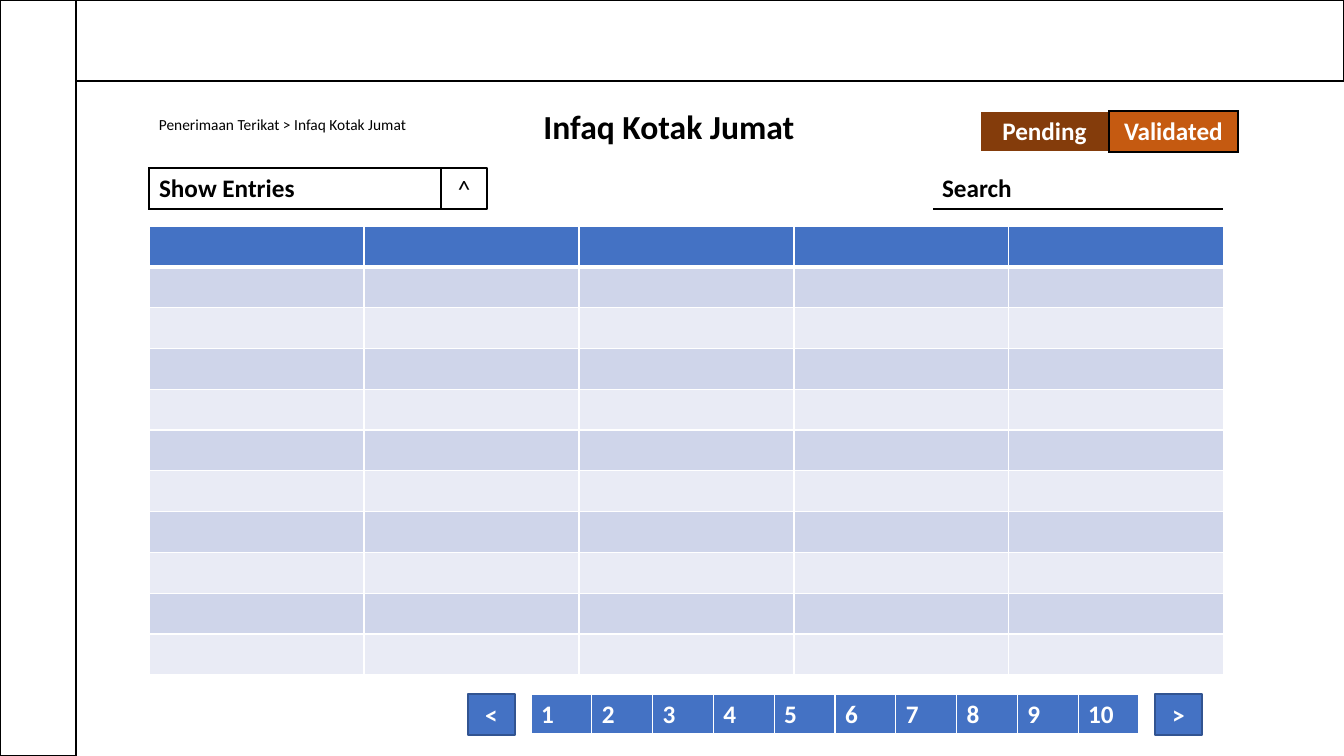
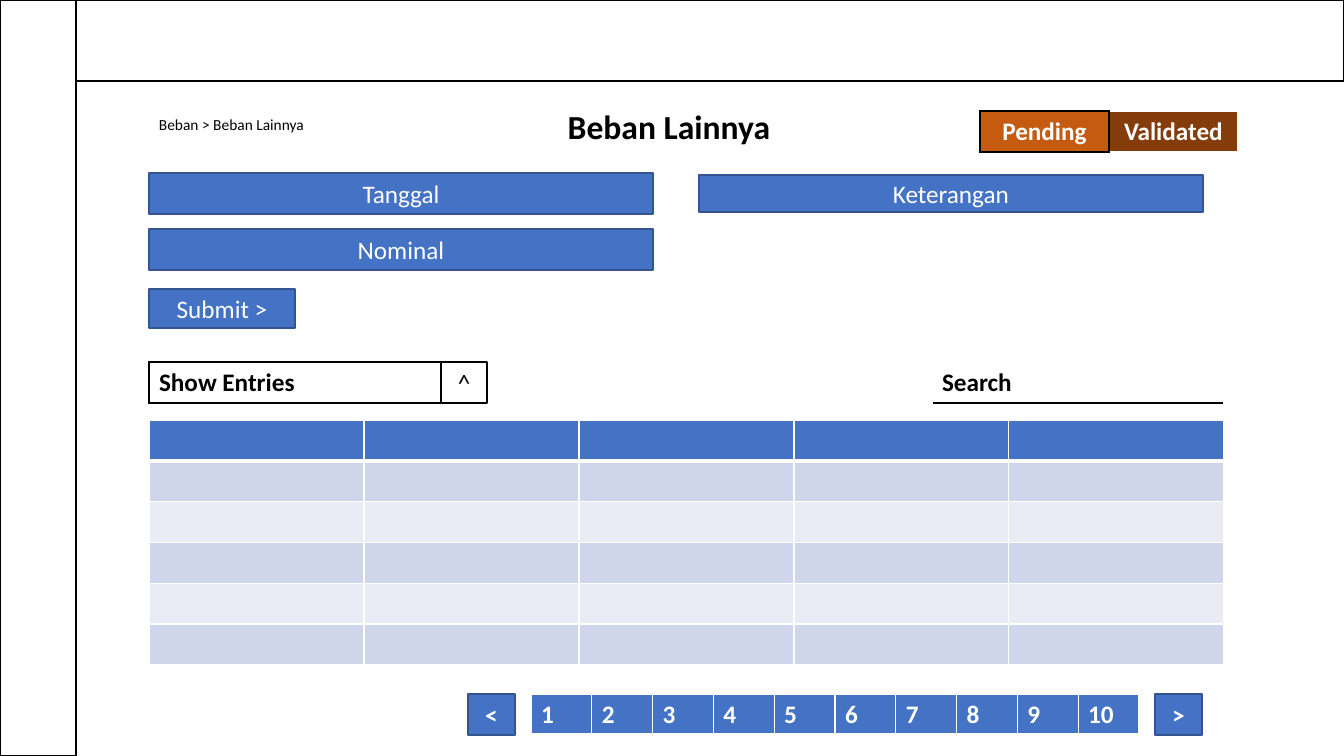
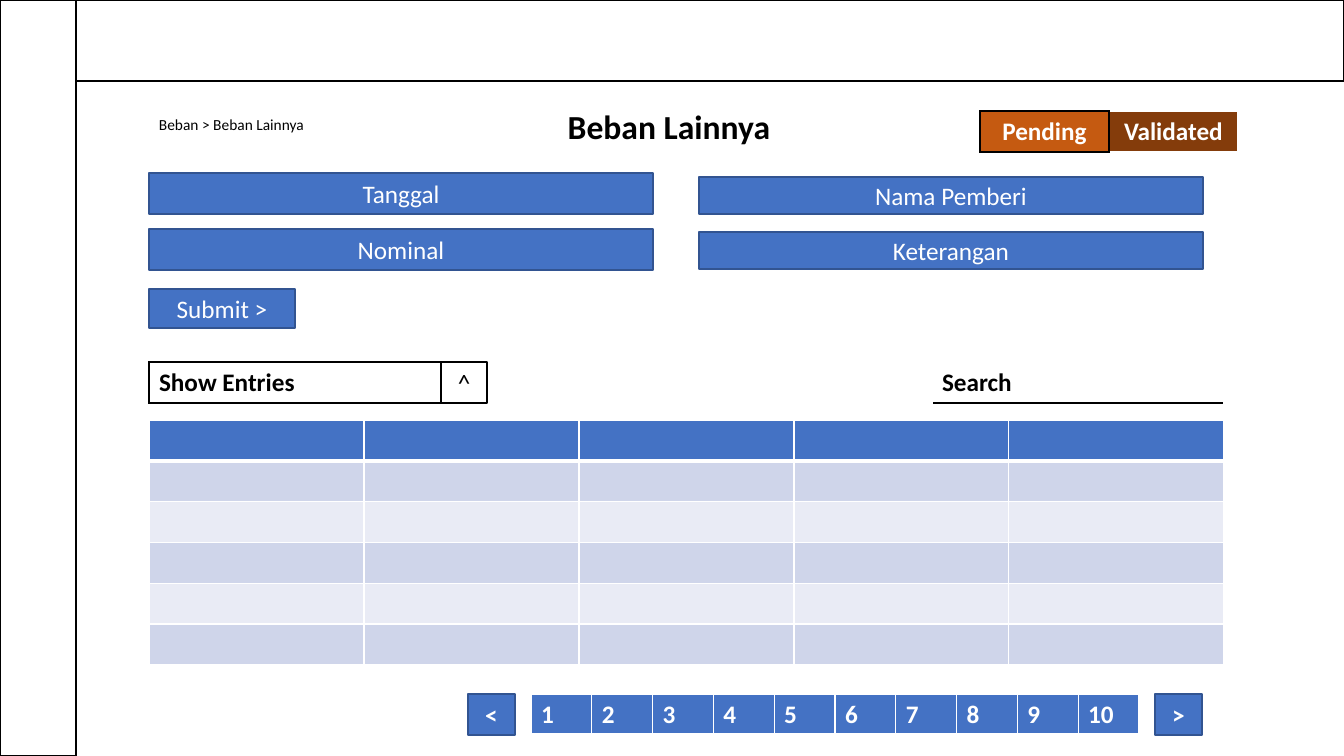
from lxml import etree
from pptx import Presentation
from pptx import util as u
from pptx.dml.color import RGBColor
from pptx.enum import shapes, text
from pptx.oxml.ns import qn

PX = 914400 / 100.8
FONT = "Calibri"
WHITE = RGBColor(0xFF, 0xFF, 0xFF)
BLACK = RGBColor(0, 0, 0)
BLUE = RGBColor(0x44, 0x72, 0xC4)
NAVY = RGBColor(0x32, 0x54, 0x91)
BAND = RGBColor(0xCF, 0xD5, 0xEA)
PALE = RGBColor(0xE9, 0xEB, 0xF5)
RUST = RGBColor(0xC5, 0x5A, 0x11)
BROWN = RGBColor(0x84, 0x3C, 0x0B)

LEFT, RIGHT = 149, 699
ROW = 41
CENTER = text.PP_ALIGN.CENTER
START = text.PP_ALIGN.LEFT
HEAD = dict(L=(WHITE, 1), R=(WHITE, 1), T=(WHITE, 1), B=(WHITE, 3))
GRID = dict.fromkeys("LRTB", (WHITE, 1))
BOX = dict.fromkeys("LRTB", (BLACK, 1))
RULE = dict(B=(BLACK, 1))


def emu(*sizes):
    """Turn pixels into EMU."""
    return [u.Emu(round(size * PX)) for size in sizes]


class Page:
    """Draws the parts of one screen on a new slide."""

    def __init__(self, deck):
        """Add a blank slide."""
        self.shapes = deck.slides.add_slide(deck.slide_layouts[6]).shapes

    def style(self, frame, words, size=18, color=BLACK, bold=False, align=START):
        """Fill a text frame with one styled paragraph."""
        frame.text = words
        para = frame.paragraphs[0]
        para.alignment = align
        for run in para.runs:
            font = run.font
            font.name, font.size, font.bold = FONT, u.Pt(size), bold
            font.color.rgb = color

    def rect(self, x, y, w, h, fill=None, line=BLACK, words="", **look):
        """Draw a rectangle with centred text."""
        box = self.shapes.add_shape(shapes.MSO_SHAPE.RECTANGLE, *emu(x, y, w, h))
        box.shadow.inherit = False
        if fill is None:
            box.fill.background()
        else:
            box.fill.solid()
            box.fill.fore_color.rgb = fill
        box.line.color.rgb = line
        box.line.width = u.Pt(1)
        if words:
            box.text_frame.vertical_anchor = text.MSO_ANCHOR.MIDDLE
            self.style(box.text_frame, words, align=CENTER, **look)

    def button(self, x, y, w, h, words, bold=False):
        """Draw a blue field or button."""
        self.rect(x, y, w, h, BLUE, NAVY, words, color=WHITE, bold=bold)

    def label(self, x, y, w, h, words, **look):
        """Place a text box."""
        frame = self.shapes.add_textbox(*emu(x, y, w, h)).text_frame
        frame.word_wrap = True
        frame.auto_size = text.MSO_AUTO_SIZE.SHAPE_TO_FIT_TEXT
        self.style(frame, words, **look)

    def table(self, rows, cols, x, y, w, h):
        """Add an evenly divided table without banding."""
        grid = self.shapes.add_table(rows, cols, *emu(x, y, w, h)).table
        grid.first_row = grid.horz_banding = False
        return grid

    def cell(self, cell, fill, edges, words="", **look):
        """Set the borders, fill and text of a table cell."""
        props = cell._tc.get_or_add_tcPr()
        for side, (color, width) in edges.items():
            line = etree.SubElement(props, qn(f"a:ln{side}"), w=str(u.Pt(width)))
            solid = etree.SubElement(line, qn("a:solidFill"))
            etree.SubElement(solid, qn("a:srgbClr"), val=str(color))
        if fill is None:
            cell.fill.background()
        else:
            cell.fill.solid()
            cell.fill.fore_color.rgb = fill
        if words:
            self.style(cell.text_frame, words, bold=True, **look)

    def frame(self, title, trail):
        """Draw the top band, side band, title and trail."""
        self.rect(0, 0, 1344, 81, WHITE)
        self.rect(0, 0, 76, 756, WHITE)
        self.label(401, 101, 536, 50, title, size=24, bold=True, align=CENTER)
        self.label(LEFT, 110, 292, 29, trail, size=11)

    def tabs(self, active):
        """Draw the status tabs, with the active one outlined."""
        grid = self.table(1, 2, 980, 111, 258, ROW)
        tabs = (("Pending", "R"), ("Validated", "L"))
        for cell, (name, inner) in zip(grid.rows[0].cells, tabs):
            on = name == active
            self.cell(cell, RUST if on else BROWN,
                      BOX if on else {inner: BOX[inner]}, name,
                      color=WHITE, align=CENTER)

    def listing(self, y, rows):
        """Draw the entry picker, search line and data table."""
        grid = self.table(rows, 5, LEFT, y + 58, 1075, rows * 40.8)
        for row in range(rows):
            fill = BLUE if row == 0 else BAND if row % 2 else PALE
            for cell in grid.rows[row].cells:
                self.cell(cell, fill, GRID if row else HEAD)
        for x, words, edges in ((932, "Search", RULE),
                                (LEFT, "Show Entries", BOX)):
            field = self.table(1, 1, x, y, 292, ROW)
            self.cell(field.cell(0, 0), None, edges, words)
        self.rect(LEFT + 292, y, 46, ROW, words="^")

    def pager(self):
        """Draw the page numbers between two arrow buttons."""
        y = 694
        grid = self.table(1, 10, 531, y, 608, ROW)
        for num, cell in enumerate(grid.rows[0].cells, 1):
            self.cell(cell, BLUE, HEAD, str(num), color=WHITE)
        for x, sign in ((468, "<"), (1155, ">")):
            self.button(x, y, 47, ROW, sign, bold=True)

    def form(self, fields):
        """Draw the right-hand fields beside the two fixed ones."""
        for row, name in enumerate(("Tanggal", "Nominal")):
            self.button(LEFT, 173 + 56 * row, 504, ROW, name)
        for y, name in fields:
            self.button(RIGHT, y, 504, 37, name)
        self.button(LEFT, 289, 146, 39, "Submit >")


def main():
    """Build the three screens."""
    deck = Presentation()
    deck.slide_width, deck.slide_height = emu(1344, 756)
    other = ("Beban Lainnya", "Beban > Beban Lainnya")
    screens = [
        ("Infaq Kotak Jumat", "Penerimaan Terikat > Infaq Kotak Jumat",
         "Validated", 168, 11, []),
        (*other, "Pending", 362, 6, [(175, "Keterangan")]),
        (*other, "Pending", 362, 6,
         [(177, "Nama Pemberi"), (232, "Keterangan")]),
    ]
    for title, trail, active, y, rows, fields in screens:
        page = Page(deck)
        page.frame(title, trail)
        page.tabs(active)
        if fields:
            page.form(fields)
        page.listing(y, rows)
        page.pager()
    deck.save("out.pptx")


main()
